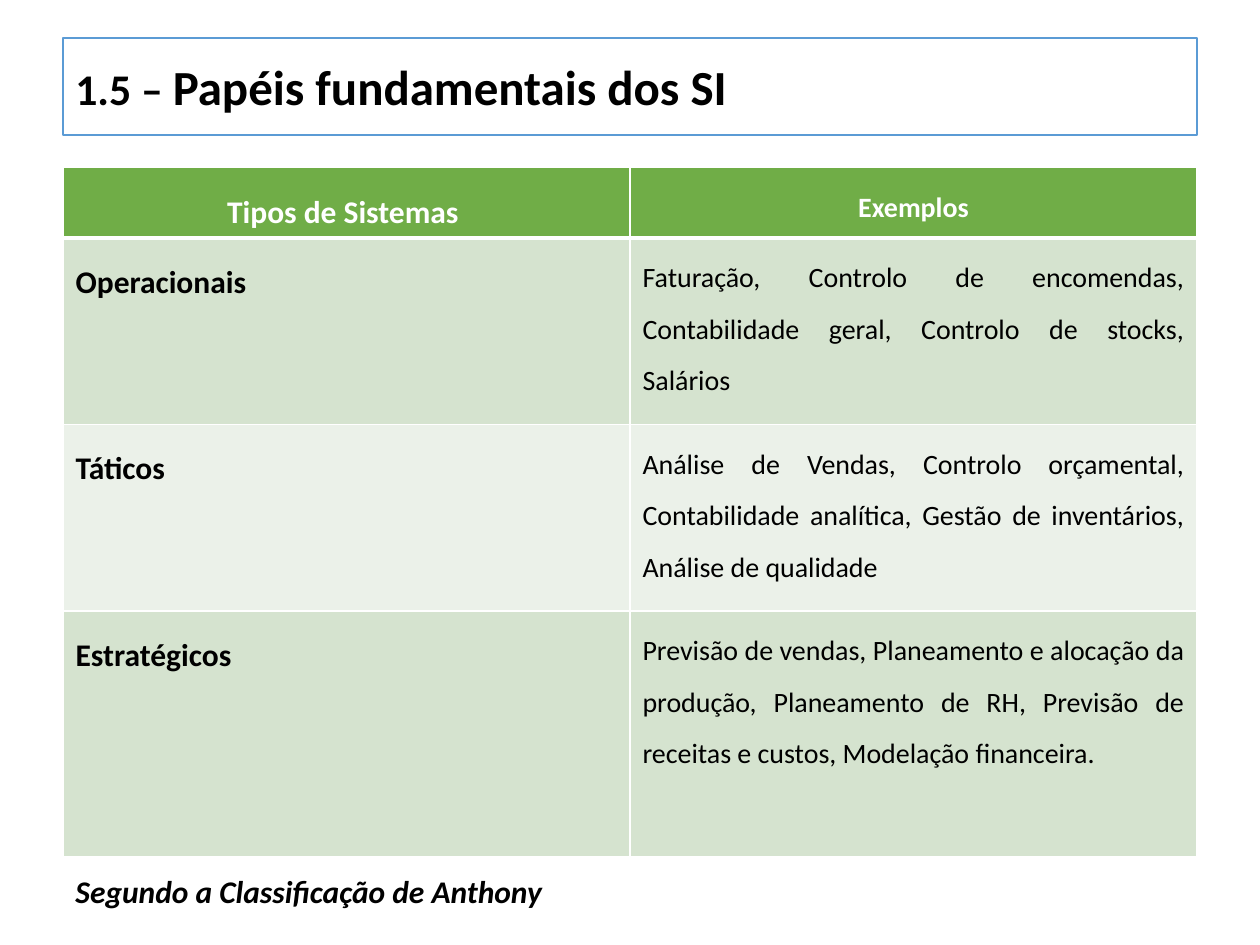
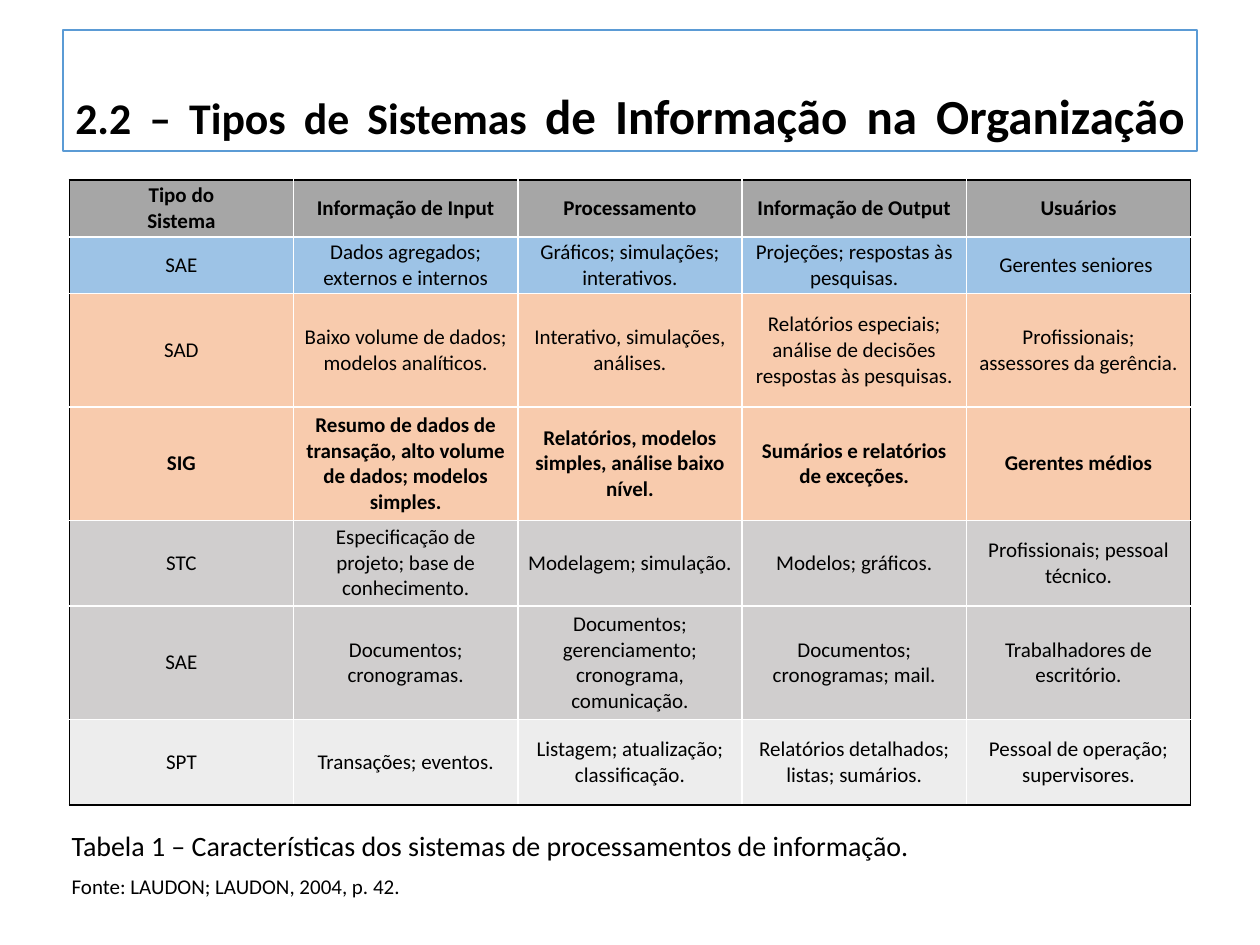
from lxml.etree import SubElement
from pptx import Presentation
from pptx.dml.color import RGBColor
from pptx.enum.shapes import MSO_SHAPE
from pptx.enum.text import MSO_ANCHOR, PP_ALIGN
from pptx.oxml.ns import qn
from pptx.util import Inches, Pt

FONT = "Calibri"
COLORS = {
    "text": "000000", "white": "FFFFFF", "title_line": "5B9BD5",
    "green": "70AD47", "green_band": "D5E3CF", "green_pale": "EBF1E9",
    "header": "A6A6A6", "blue": "9DC3E6", "orange": "F8CBAD",
    "grey": "D0CECE", "grey_pale": "EDEDED",
}


class SlideBuilder:
    """Shared style and the slide being filled."""

    def __init__(self, deck):
        self.deck = deck
        self.page = None

    def new_page(self):
        self.page = self.deck.slides.add_slide(self.deck.slide_layouts[6])

    def color(self, name):
        return RGBColor.from_string(COLORS[name])

    def style(self, span, size, bold=False, italic=False, color="text"):
        font = span.font
        font.name, font.size = FONT, Pt(size)
        font.bold, font.italic = bold, italic
        font.color.rgb = self.color(color)

    def title(self, top, height, parts, top_inset=None):
        """Outlined title band; parts are (text, size) pairs."""
        band = self.page.shapes.add_shape(
            MSO_SHAPE.RECTANGLE, Inches(0.5), Inches(top), Inches(9), Inches(height))
        band.shadow.inherit = False
        band.fill.solid()
        band.fill.fore_color.rgb = self.color("white")
        band.line.color.rgb = self.color("title_line")
        band.line.width = Pt(1)
        frame = band.text_frame
        frame.word_wrap = True
        frame.vertical_anchor = MSO_ANCHOR.MIDDLE
        para = frame.paragraphs[0]
        para.alignment = PP_ALIGN.JUSTIFY
        for text, size in parts:
            span = para.add_run()
            span.text = text
            self.style(span, size, bold=True)
        if top_inset is not None:
            # A closing line break stretches the line to the full width
            frame.vertical_anchor = MSO_ANCHOR.TOP
            frame.margin_top = Inches(top_inset)
            para.add_line_break()

    def caption(self, left, top, width, height, lines, wrap=True, space=0, **look):
        """Text box; lines are (text, size) pairs."""
        box = self.page.shapes.add_textbox(
            Inches(left), Inches(top), Inches(width), Inches(height))
        frame = box.text_frame
        frame.word_wrap = wrap
        frame.text = "\n".join(text for text, size in lines)
        for para, (text, size) in zip(frame.paragraphs, lines):
            para.space_before = Pt(space)
            self.style(para.runs[0], size, **look)

    def table(self, left, top, column_width, row_heights, rows):
        columns = len(rows[0])
        frame = self.page.shapes.add_table(
            len(rows), columns, Inches(left), Inches(top),
            Inches(column_width * columns), Inches(sum(row_heights)))
        table = frame.table
        table.first_row = table.horz_banding = False
        for column in table.columns:
            column.width = Inches(column_width)
        for row, height in zip(table.rows, row_heights):
            row.height = Inches(height)
        return table

    def cell(self, cell, text, fill, size, align, borders, spacing=None, **look):
        """Fill one cell; borders gives (color, points) for left, right, top, bottom."""
        properties = cell._tc.get_or_add_tcPr()
        for side, (color, points) in zip("LRTB", borders):
            line = SubElement(properties, qn(f"a:ln{side}"), w=str(Pt(points)))
            solid = SubElement(line, qn("a:solidFill"))
            SubElement(solid, qn("a:srgbClr"), val=COLORS[color])
        cell.fill.solid()
        cell.fill.fore_color.rgb = self.color(fill)
        cell.text_frame.text = text
        for para in cell.text_frame.paragraphs:
            para.alignment = align
            para.line_spacing = spacing
            for span in para.runs:
                self.style(span, size, **look)


def build_roles(builder):
    builder.new_page()

    # System types with examples
    rows = [
        ("Tipos de Sistemas ", "Exemplos"),
        ("Operacionais", "Faturação, Controlo de encomendas, Contabilidade geral, "
                         "Controlo de stocks, Salários"),
        ("Táticos ", "Análise de Vendas, Controlo orçamental, Contabilidade analítica, "
                     "Gestão de inventários, Análise de qualidade"),
        ("Estratégicos", "Previsão de vendas, Planeamento e alocação da produção, "
                         "Planeamento de RH, Previsão de receitas e custos, "
                         "Modelação financeira."),
    ]
    fills = ["green", "green_band", "green_pale", "green_band"]
    table = builder.table(0.5, 1.33, 4.5, [0.53, 1.48, 1.48, 1.95], rows)
    for r, (row, fill) in enumerate(zip(rows, fills)):
        header = r == 0
        top = ("white", 3 if r == 1 else 1)
        bottom = ("white", 3 if header else 1)
        for c, text in enumerate(row):
            builder.cell(
                table.cell(r, c), text, fill, 16 if c else 18,
                PP_ALIGN.CENTER if header else PP_ALIGN.JUSTIFY,
                [("white", 1), ("white", 1), top, bottom], spacing=1.5,
                bold=header or c == 0, color="white" if header else "text")

    # Classification note and title
    builder.caption(0.5, 6.87, 3.95, 0.4, [("Segundo a Classificação de Anthony", 18)],
                    wrap=False, bold=True, italic=True)
    builder.title(0.3, 0.77, [("1.5 – ", 25), ("Papéis fundamentais dos SI", 28)])


def build_system_types(builder):
    builder.new_page()
    builder.title(0.24, 0.96, [("2.2 – Tipos de Sistemas ", 25),
                               ("de Informação na Organização", 28)], top_inset=0.44)
    builder.caption(0.47, 6.53, 8.58, 0.97, [
        ("Tabela 1 – Características dos sistemas de processamentos de informação.", 16),
        ("Fonte: LAUDON; LAUDON, 2004, p. 42.", 12)], space=6)

    # Characteristics of each system
    rows = [
        ("Tipo do\nSistema", "Informação de Input", "Processamento",
         "Informação de Output", "Usuários"),
        ("SAE", "Dados agregados; externos e internos", "Gráficos; simulações; interativos.",
         "Projeções; respostas às pesquisas.", "Gerentes seniores "),
        ("SAD", "Baixo volume de dados; modelos analíticos.",
         "Interativo, simulações, análises.",
         "Relatórios especiais; análise de decisões respostas às pesquisas.",
         "Profissionais; assessores da gerência."),
        ("SIG", "Resumo de dados de transação, alto volume de dados; modelos simples.",
         "Relatórios, modelos simples, análise baixo nível.",
         "Sumários e relatórios de exceções.", "Gerentes médios"),
        ("STC", "Especificação de projeto; base de conhecimento.", "Modelagem; simulação.",
         "Modelos; gráficos.", "Profissionais; pessoal técnico."),
        ("SAE", "Documentos; cronogramas.",
         "Documentos; gerenciamento; cronograma, comunicação.",
         "Documentos; cronogramas; mail.", "Trabalhadores de escritório."),
        ("SPT", "Transações; eventos.", "Listagem; atualização; classificação.",
         "Relatórios detalhados; listas; sumários.", "Pessoal de operação; supervisores."),
    ]
    fills = ["header", "blue", "orange", "orange", "grey", "grey", "grey_pale"]
    table = builder.table(0.55, 1.43, 1.78, [0.45, 0.45, 0.9, 0.9, 0.68, 0.9, 0.68], rows)
    last_row, last_column = len(rows) - 1, len(rows[0]) - 1
    for r, (row, fill) in enumerate(zip(rows, fills)):
        for c, text in enumerate(row):
            # Black around the table, white between cells
            outer = [c == 0, c == last_column, r == 0, r == last_row]
            borders = [("text" if edge else "white", 1) for edge in outer]
            cell = table.cell(r, c)
            cell.vertical_anchor = MSO_ANCHOR.MIDDLE
            cell.margin_left = cell.margin_right = Inches(0.07)
            cell.margin_top = cell.margin_bottom = 0
            builder.cell(cell, text, fill, 12, PP_ALIGN.CENTER, borders,
                         bold=r == 0 or row[0] == "SIG")


def main():
    deck = Presentation()
    deck.slide_width, deck.slide_height = Inches(10), Inches(7.5)
    builder = SlideBuilder(deck)
    build_roles(builder)
    build_system_types(builder)
    deck.save("out.pptx")


if __name__ == "__main__":
    main()
